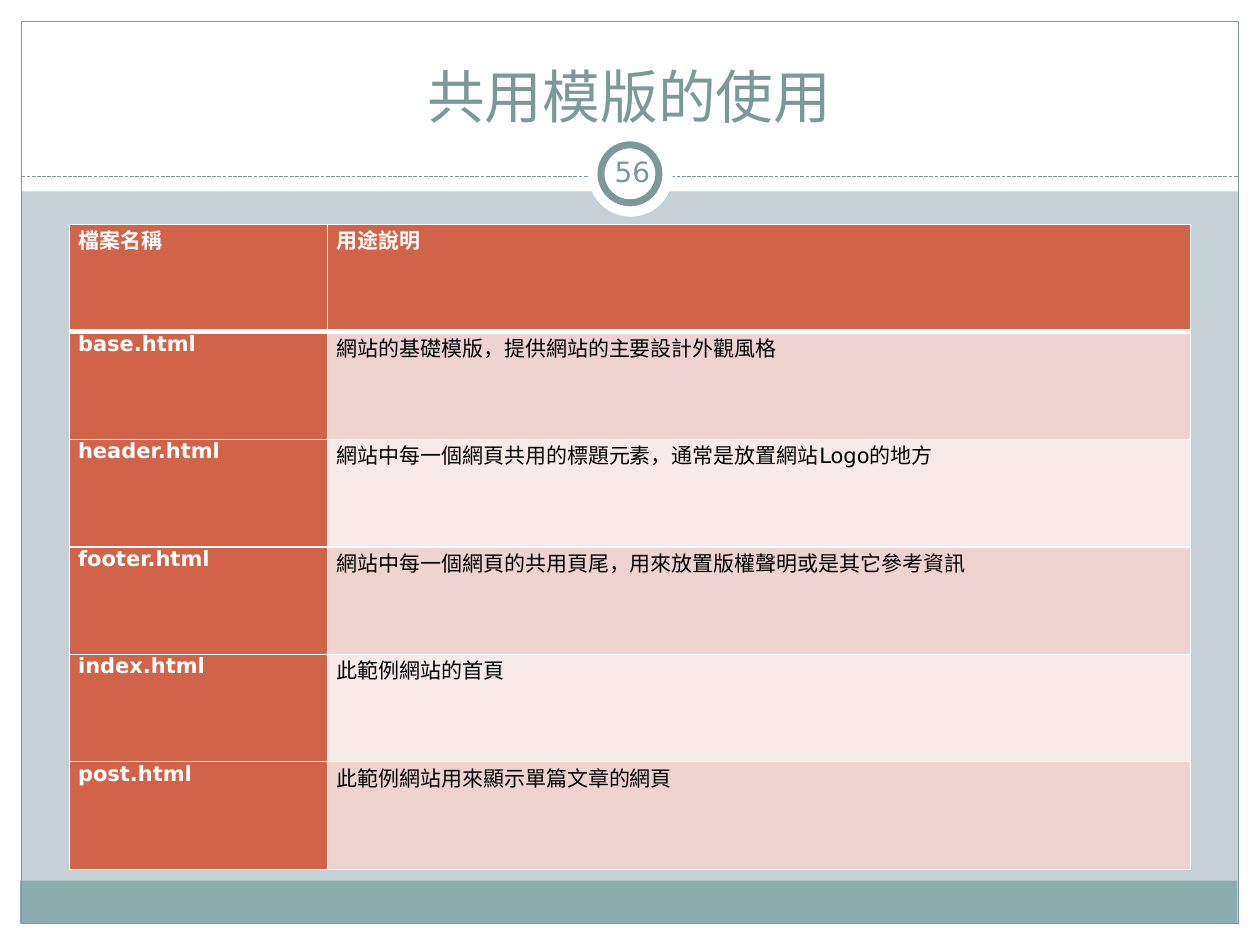
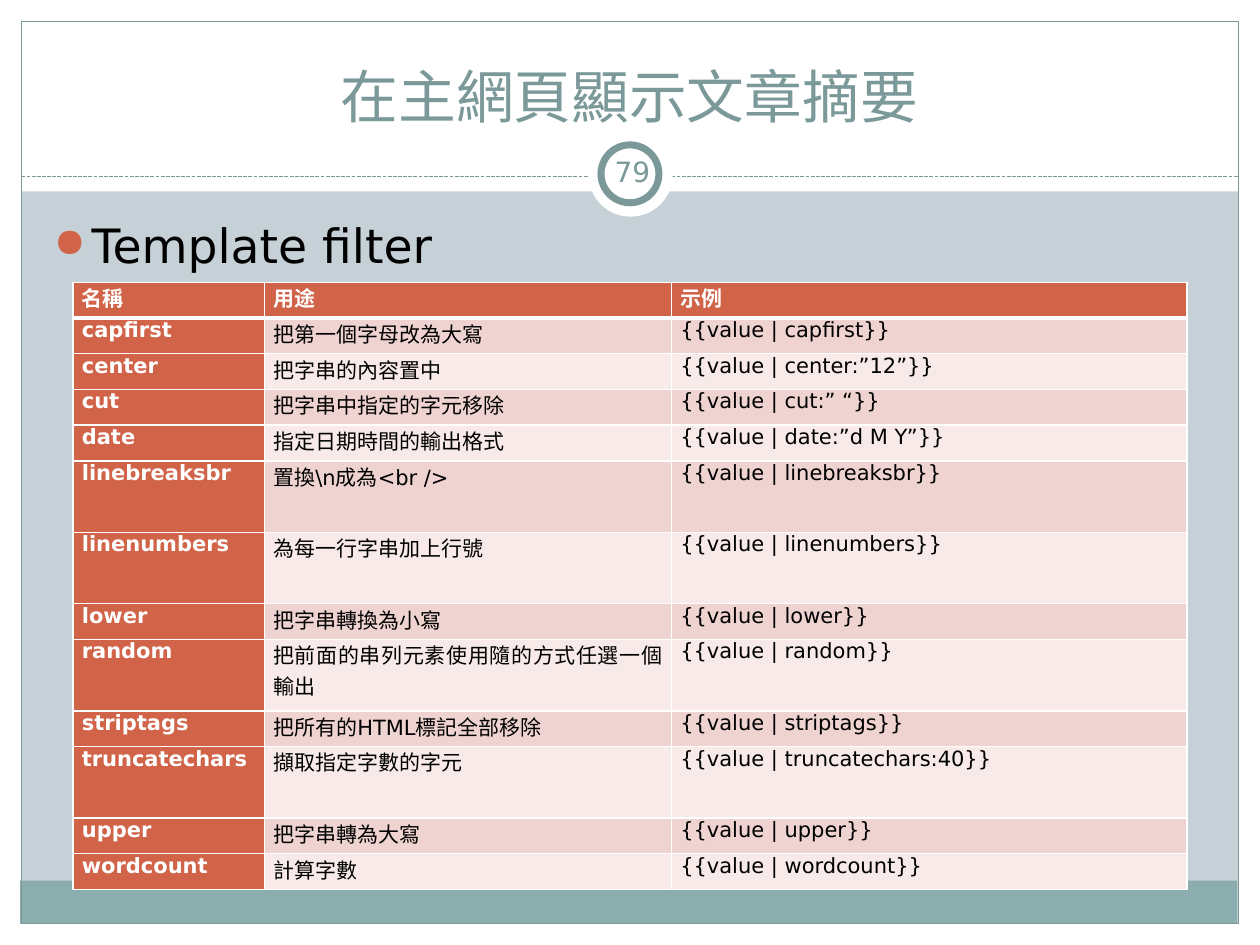
"""Build two slides on shared page templates and template filters."""
from lxml import etree
from pptx import Presentation
from pptx.dml.color import RGBColor
from pptx.enum import dml, shapes, text
from pptx.oxml import parse_xml
from pptx.oxml.ns import nsdecls, qn
from pptx.util import Inches, Pt

FONT = "DejaVu Sans"
BACKGROUND = RGBColor(0xC5, 0xD1, 0xD7)
WHITE = RGBColor(0xFF, 0xFF, 0xFF)
BLACK = RGBColor(0x00, 0x00, 0x00)
TEAL = RGBColor(0x7C, 0x99, 0x9A)
FOOTER = RGBColor(0x8C, 0xAD, 0xAE)
ACCENT = RGBColor(0xD1, 0x63, 0x49)
ROW_DARK = RGBColor(0xEE, 0xD3, 0xD0)
ROW_LIGHT = RGBColor(0xF7, 0xEA, 0xE9)

RECTANGLE = shapes.MSO_SHAPE.RECTANGLE
OVAL = shapes.MSO_SHAPE.OVAL
FRAME_PARTS = [
    (RECTANGLE, (0, 7.33, 10, 0.17), WHITE, None, 0),
    (RECTANGLE, (0, 0, 10, 1.52), WHITE, None, 0),
    (RECTANGLE, (0, 0, 0.17, 7.5), WHITE, None, 0),
    (RECTANGLE, (9.83, 0, 0.17, 7.5), WHITE, None, 0),
    (RECTANGLE, (0.16, 6.99, 9.66, 0.34), FOOTER, None, 0),
    (RECTANGLE, (0.17, 0.17, 9.66, 7.16), None, TEAL, 0.75),
    (OVAL, (4.67, 1.05, 0.67, 0.67), WHITE, None, 0),
    (OVAL, (4.77, 1.15, 0.46, 0.46), WHITE, TEAL, 4),
]

SLIDES = [
    {
        "title": "共用模版的使用",
        "number": "56",
        "bullet": None,
        "box": (0.55, 1.78, 8.9, 5.12),
        "columns": [2.05, 6.85],
        "tall_rows": [],
        "rows": [
            ("檔案名稱", "用途說明"),
            ("base.html", "網站的基礎模版，提供網站的主要設計外觀風格"),
            ("header.html", "網站中每一個網頁共用的標題元素，通常是放置網站Logo的地方"),
            ("footer.html", "網站中每一個網頁的共用頁尾，用來放置版權聲明或是其它參考資訊"),
            ("index.html", "此範例網站的首頁"),
            ("post.html", "此範例網站用來顯示單篇文章的網頁"),
        ],
    },
    {
        "title": "在主網頁顯示文章摘要",
        "number": "79",
        "bullet": "Template filter",
        "box": (0.58, 2.24, 8.84, 4.82),
        "columns": [1.52, 3.23, 4.09],
        "tall_rows": [5, 6, 8, 10],
        "rows": [
            ("名稱", "用途", "示例"),
            ("capfirst", "把第一個字母改為大寫", "{{value | capfirst}}"),
            ("center", "把字串的內容置中", "{{value | center:”12”}}"),
            ("cut", "把字串中指定的字元移除", "{{value | cut:” “}}"),
            ("date", "指定日期時間的輸出格式", "{{value | date:”d M Y”}}"),
            ("linebreaksbr", r"置換\n成為<br />", "{{value | linebreaksbr}}"),
            ("linenumbers", "為每一行字串加上行號", "{{value | linenumbers}}"),
            ("lower", "把字串轉換為小寫", "{{value | lower}}"),
            ("random", "把前面的串列元素使用隨的方式任選一個輸出", "{{value | random}}"),
            ("striptags", "把所有的HTML標記全部移除", "{{value | striptags}}"),
            ("truncatechars", "擷取指定字數的字元", "{{value | truncatechars:40}}"),
            ("upper", "把字串轉為大寫", "{{value | upper}}"),
            ("wordcount", "計算字數", "{{value | wordcount}}"),
        ],
    },
]


def add_text(slide, box, content, size, color, anchor, alignment):
    """Add a wrapped one-paragraph text box and return its paragraph."""
    frame = slide.shapes.add_textbox(*map(Inches, box)).text_frame
    frame.word_wrap = True
    frame.vertical_anchor = anchor
    paragraph = frame.paragraphs[0]
    paragraph.text = content
    paragraph.alignment = alignment
    paragraph.font.name = FONT
    paragraph.font.size = Pt(size)
    paragraph.font.color.rgb = color
    return paragraph


def set_borders(cell, top, bottom):
    """Draw white cell borders with the given top and bottom widths in points."""
    sides = {"lnL": 1, "lnR": 1, "lnT": top, "lnB": bottom}
    properties = cell._tc.get_or_add_tcPr()
    for index, (side, width) in enumerate(sides.items()):
        properties.insert(index, parse_xml(
            f'<a:{side} {nsdecls("a")} w="{Pt(width)}"><a:solidFill>'
            f'<a:srgbClr val="{WHITE}"/></a:solidFill></a:{side}>'))


presentation = Presentation()
presentation.slide_width = Inches(10)
presentation.slide_height = Inches(7.5)

for content in SLIDES:
    slide = presentation.slides.add_slide(presentation.slide_layouts[6])
    slide.background.fill.solid()
    slide.background.fill.fore_color.rgb = BACKGROUND

    for kind, box, fill, line, width in FRAME_PARTS:
        if box == (4.67, 1.05, 0.67, 0.67):
            divider = slide.shapes.add_connector(
                shapes.MSO_CONNECTOR.STRAIGHT,
                Inches(0.17), Inches(1.4), Inches(9.83), Inches(1.4))
            divider.line.color.rgb = TEAL
            divider.line.width = Pt(0.75)
            divider.line.dash_style = dml.MSO_LINE.SQUARE_DOT
            etree.SubElement(divider._element.spPr, qn("a:effectLst"))
        shape = slide.shapes.add_shape(kind, *map(Inches, box))
        shape.shadow.inherit = False
        if fill is None:
            shape.fill.background()
        else:
            shape.fill.solid()
            shape.fill.fore_color.rgb = fill
        if line is None:
            shape.line.fill.background()
        else:
            shape.line.color.rgb = line
            shape.line.width = Pt(width)

    add_text(slide, (0.33, 0.25, 9.33, 0.83), content["title"], 33, TEAL,
             text.MSO_ANCHOR.BOTTOM, text.PP_ALIGN.CENTER)
    number = add_text(slide, (4.77, 1.12, 0.5, 0.48), content["number"], 16, TEAL,
                      text.MSO_ANCHOR.MIDDLE, text.PP_ALIGN.CENTER)
    number_frame = slide.shapes[-1].text_frame
    number_frame.margin_left = number_frame.margin_right = Inches(0.05)

    if content["bullet"]:
        bullet = add_text(slide, (0.33, 1.67, 9.3, 5), content["bullet"], 27, BLACK,
                          text.MSO_ANCHOR.TOP, text.PP_ALIGN.LEFT)
        bullet.space_before = Pt(5.4)
        properties = bullet._p.get_or_add_pPr()
        properties.set("marL", str(Inches(0.3)))
        properties.set("indent", str(Inches(-0.3)))
        default_font = properties.find(qn("a:defRPr"))
        for markup in (
            f'<a:buClr {nsdecls("a")}><a:srgbClr val="{ACCENT}"/></a:buClr>',
            f'<a:buSzPct {nsdecls("a")} val="85000"/>',
            f'<a:buChar {nsdecls("a")} char="●"/>',
        ):
            default_font.addprevious(parse_xml(markup))

    rows = content["rows"]
    table = slide.shapes.add_table(
        len(rows), len(content["columns"]), *map(Inches, content["box"])).table
    table.horz_banding = False
    for column, width in zip(table.columns, content["columns"]):
        column.width = Inches(width)
    unit = content["box"][3] / (len(rows) + len(content["tall_rows"]))
    for row_index, values in enumerate(rows):
        units = 2 if row_index in content["tall_rows"] else 1
        table.rows[row_index].height = Inches(unit * units)
        for column_index, value in enumerate(values):
            heading = row_index == 0 or column_index == 0
            cell = table.cell(row_index, column_index)
            cell.margin_left = cell.margin_right = Inches(0.07)
            cell.margin_top = cell.margin_bottom = 0
            cell.fill.solid()
            band = ROW_DARK if row_index % 2 else ROW_LIGHT
            cell.fill.fore_color.rgb = ACCENT if heading else band
            set_borders(cell, 3 if row_index == 1 else 1, 3 if row_index == 0 else 1)
            paragraph = cell.text_frame.paragraphs[0]
            paragraph.text = value
            paragraph.alignment = text.PP_ALIGN.JUSTIFY
            paragraph.space_before = paragraph.space_after = Pt(6)
            paragraph.font.name = FONT
            paragraph.font.size = Pt(12)
            paragraph.font.bold = heading
            paragraph.font.color.rgb = WHITE if heading else BLACK

presentation.save("out.pptx")
